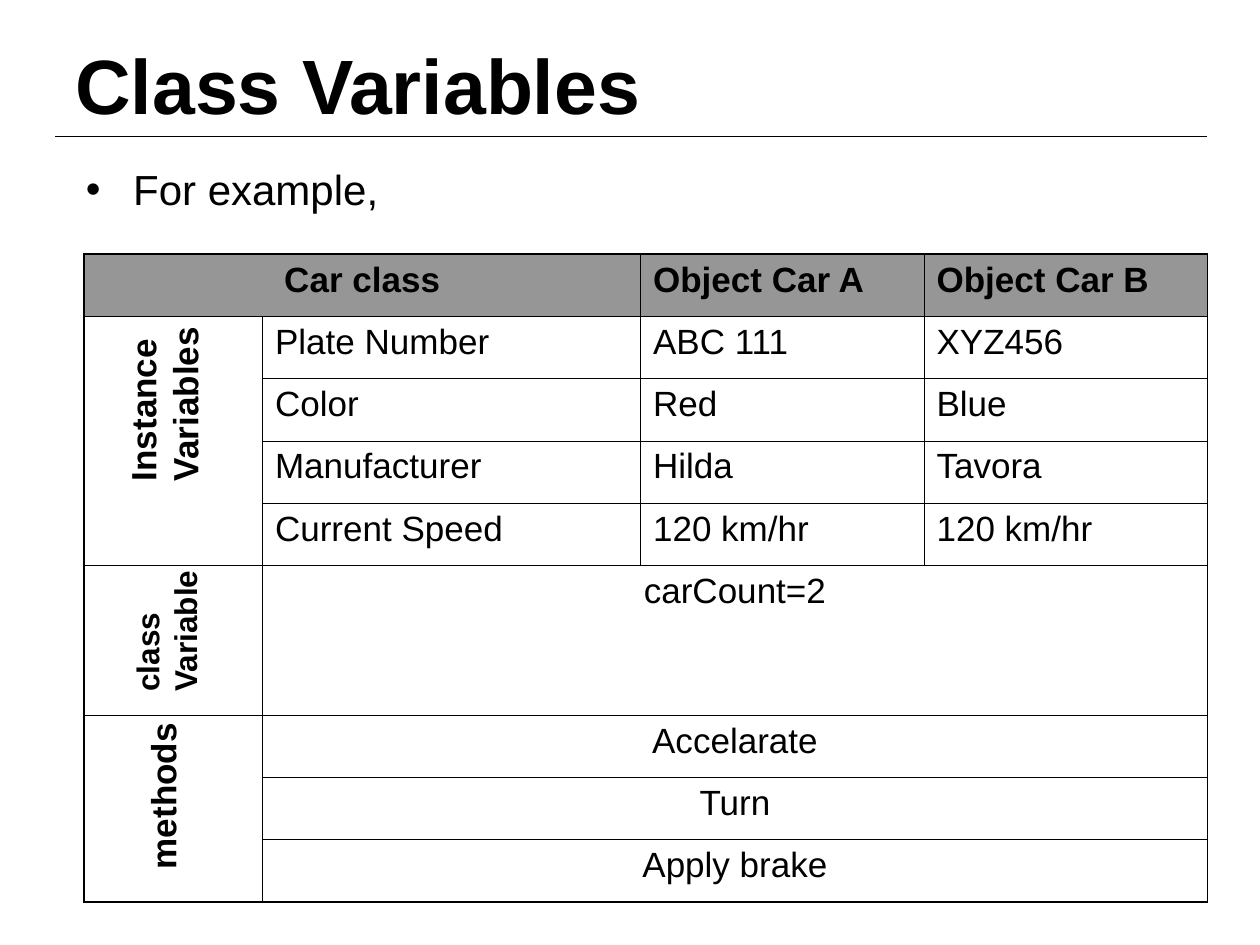
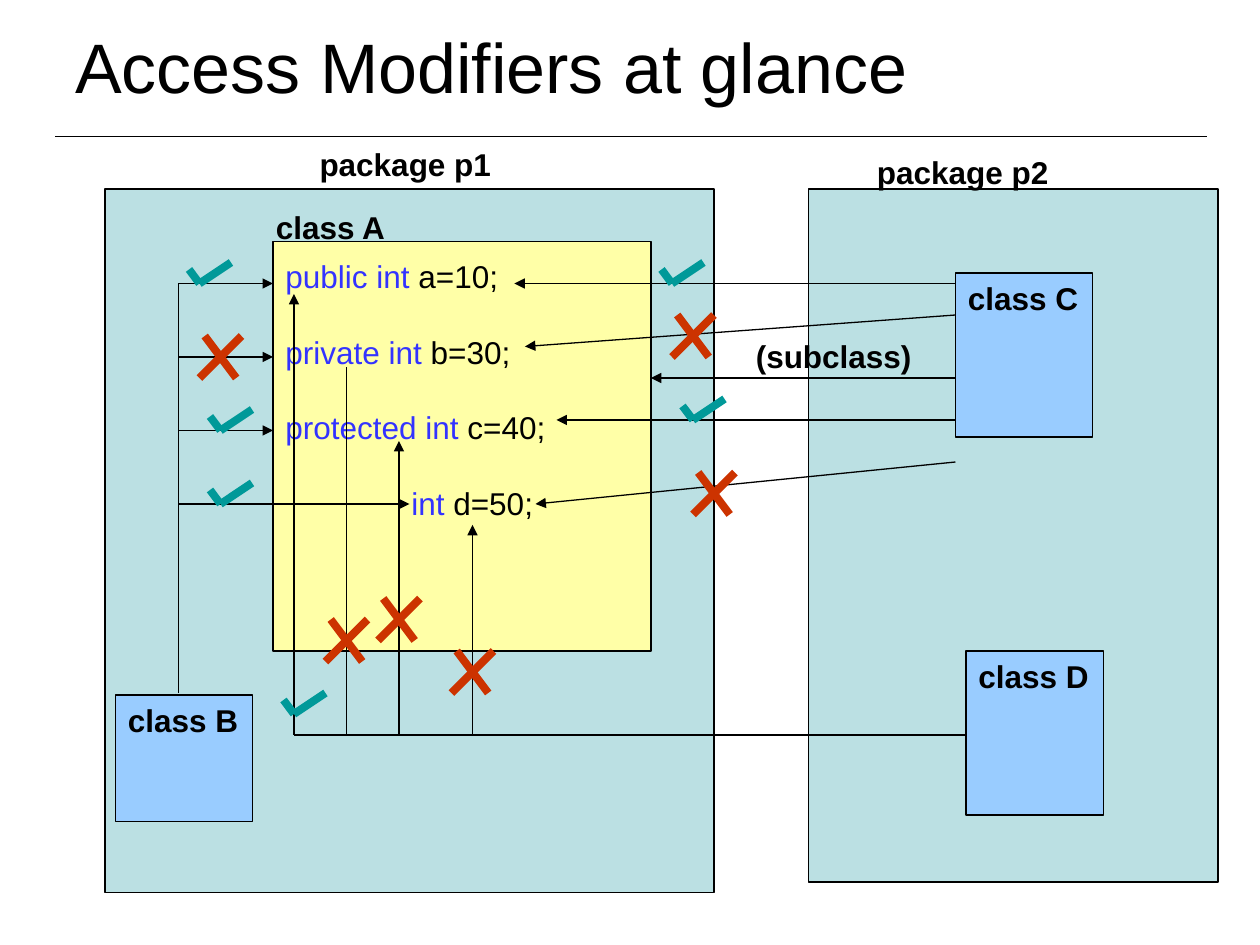
from lxml.etree import SubElement
from pptx import Presentation
from pptx.dml.color import RGBColor
from pptx.enum.shapes import MSO_CONNECTOR, MSO_SHAPE
from pptx.enum.text import MSO_ANCHOR, PP_ALIGN
from pptx.oxml import parse_xml
from pptx.oxml.ns import nsdecls, qn
from pptx.util import Pt

FONT = "Arial"
BLACK = RGBColor(0x00, 0x00, 0x00)
HEADER_GRAY = RGBColor(0x96, 0x96, 0x96)
PACKAGE_TEAL = RGBColor(0xBB, 0xE0, 0xE3)
CLASS_YELLOW = RGBColor(0xFF, 0xFF, 0xA7)
CLASS_BLUE = RGBColor(0x99, 0xCC, 0xFF)
KEYWORD_BLUE = RGBColor(0x33, 0x33, 0xFF)
TICK_GREEN = RGBColor(0x00, 0x99, 0x99)
CROSS_RED = RGBColor(0xCC, 0x33, 0x00)


def write(text_frame, text, size, bold=False, align=PP_ALIGN.LEFT):
    """Fill the frame with one paragraph of black text."""
    text_frame.text = text
    paragraph = text_frame.paragraphs[0]
    paragraph.alignment = align
    font = paragraph.runs[0].font
    font.name, font.size, font.bold = FONT, Pt(size), bold
    font.color.rgb = BLACK


def add_line(slide, start, end, color=BLACK, width=0.75, arrow=False):
    connector = slide.shapes.add_connector(
        MSO_CONNECTOR.STRAIGHT, Pt(start[0]), Pt(start[1]), Pt(end[0]), Pt(end[1]))
    connector.line.color.rgb = color
    connector.line.width = Pt(width)
    properties = connector._element.spPr
    if arrow:
        SubElement(properties.find(qn("a:ln")), qn("a:tailEnd"), type="triangle")
    SubElement(properties, qn("a:effectLst"))


presentation = Presentation()
presentation.slide_width, presentation.slide_height = Pt(720), Pt(540)

# Title and rule on both slides
slides = []
for title, top, height, size, bold in [
    ("Class Variables", 27, 42, 44, True),
    ("Access Modifiers at glance", 21.5, 32, 40, False),
]:
    slide = presentation.slides.add_slide(presentation.slide_layouts[6])
    add_line(slide, (31.5, 78), (690, 78))
    box = slide.shapes.add_textbox(Pt(36), Pt(top), Pt(648), Pt(height))
    box.text_frame.word_wrap = True
    box.text_frame.vertical_anchor = MSO_ANCHOR.MIDDLE
    write(box.text_frame, title, size, bold)
    slides.append(slide)
variables_slide, access_slide = slides

# Slide 1: bullet
box = variables_slide.shapes.add_textbox(Pt(42), Pt(90), Pt(648), Pt(42))
box.text_frame.word_wrap = True
write(box.text_frame, "For example,", 24)
bullet_properties = box.text_frame.paragraphs[0]._p.get_or_add_pPr()
bullet_properties.set("marL", str(Pt(27)))
bullet_properties.set("indent", str(Pt(-27)))
SubElement(bullet_properties, qn("a:buFont"), typeface=FONT)
SubElement(bullet_properties, qn("a:buChar"), char="•")

# Slide 1: table of the car class and its objects
ROWS = [
    ["Car class", "", "Object Car A", "Object Car B"],
    ["", "Plate Number", "ABC 111", "XYZ456"],
    ["", "Color", "Red", "Blue"],
    ["", "Manufacturer", "Hilda", "Tavora"],
    ["", "Current Speed", "120 km/hr", "120 km/hr"],
    ["", "carCount=2", "", ""],
    ["", "Accelarate", "", ""],
    ["", "Turn", "", ""],
    ["", "Apply brake", "", ""],
]
COLUMN_WIDTHS = [102, 216, 162, 162]
ROW_HEIGHTS = [35.55] * 5 + [85.7] + [35.55] * 3
MERGES = [((0, 0), (0, 1)), ((1, 0), (4, 0)), ((6, 0), (8, 0))]
MERGES += [((row, 1), (row, 3)) for row in range(5, 9)]

table = variables_slide.shapes.add_table(
    len(ROWS), len(COLUMN_WIDTHS), Pt(48), Pt(145.3),
    Pt(sum(COLUMN_WIDTHS)), Pt(sum(ROW_HEIGHTS))).table
table.first_row = table.horz_banding = False
for column, width in zip(table.columns, COLUMN_WIDTHS):
    column.width = Pt(width)
for row, height in zip(table.rows, ROW_HEIGHTS):
    row.height = Pt(height)
for first, last in MERGES:
    table.cell(*first).merge(table.cell(*last))

for r, texts in enumerate(ROWS):
    for c, text in enumerate(texts):
        cell = table.cell(r, c)
        if r == 0:
            cell.fill.solid()
            cell.fill.fore_color.rgb = HEADER_GRAY
        else:
            cell.fill.background()
        if text:
            align = PP_ALIGN.CENTER if cell.span_width > 1 else PP_ALIGN.LEFT
            write(cell.text_frame, text, 20, r == 0, align)
        outer = {
            "L": c == 0,
            "R": c + cell.span_width == len(COLUMN_WIDTHS),
            "T": r == 0,
            "B": r + cell.span_height == len(ROWS),
        }
        for position, (side, is_outer) in enumerate(outer.items()):
            border = parse_xml(
                f'<a:ln{side} {nsdecls("a")} w="{Pt(1.08 if is_outer else 0.45)}">'
                f'<a:solidFill><a:srgbClr val="{BLACK}"/></a:solidFill></a:ln{side}>')
            cell._tc.get_or_add_tcPr().insert(position, border)

# Slide 1: row group labels, turned to read upwards
for text, left, top, width, height, size in [
    ("methods", 42, 437, 102, 31.5, 20),
    ("Instance Variables", 36.6, 197.3, 114, 55.5, 20),
    ("class Variable", 49.7, 332, 90, 50.4, 18),
]:
    box = variables_slide.shapes.add_textbox(Pt(left), Pt(top), Pt(width), Pt(height))
    box.rotation = 270
    box.text_frame.word_wrap = True
    write(box.text_frame, text, size, True)

# Slide 2: packages and classes
boxes = {}
for name, left, top, width, height, color in [
    ("package p1", 60, 108, 348, 402, PACKAGE_TEAL),
    ("package p2", 462, 108, 234, 396, PACKAGE_TEAL),
    ("class A", 156, 138, 216, 234, CLASS_YELLOW),
    ("class B", 66, 397.2, 78.5, 72.3, CLASS_BLUE),
    ("class C", 546, 156, 78.5, 93.7, CLASS_BLUE),
    ("class D", 552, 372, 78.5, 93.7, CLASS_BLUE),
]:
    shape = access_slide.shapes.add_shape(
        MSO_SHAPE.RECTANGLE, Pt(left), Pt(top), Pt(width), Pt(height))
    shape.shadow.inherit = False
    shape.fill.solid()
    shape.fill.fore_color.rgb = color
    shape.line.color.rgb = BLACK
    shape.line.width = Pt(0.75)
    shape.text_frame.vertical_anchor = MSO_ANCHOR.TOP
    if color == CLASS_BLUE:
        shape.text_frame.word_wrap = False
        write(shape.text_frame, name, 18, True)
    boxes[name] = shape

# Slide 2: fields of class A
field_frame = boxes["class A"].text_frame
field_frame.word_wrap = True
field_frame.margin_top = Pt(9)
for i, (keywords, rest) in enumerate([
    ("public int", " a=10;"),
    ("private int", " b=30;"),
    ("protected int", " c=40;"),
    ("int", " d=50;"),
]):
    paragraph = field_frame.paragraphs[0] if i == 0 else field_frame.add_paragraph()
    paragraph.alignment = PP_ALIGN.LEFT
    if i:
        paragraph.space_before = Pt(21.6)
    if keywords == "int":
        paragraph._p.get_or_add_pPr().set("marL", str(Pt(72)))
    for text, color in [(keywords, KEYWORD_BLUE), (rest, BLACK)]:
        run = paragraph.add_run()
        run.text = text
        run.font.name, run.font.size = FONT, Pt(18)
        run.font.color.rgb = color

# Slide 2: access from class B
add_line(access_slide, (102, 396), (102, 162))
for y, end_x in [(162, 156), (204, 156), (246, 156), (288, 234)]:
    add_line(access_slide, (102, y), (end_x, y), arrow=True)

# Slide 2: access from class C
for start_y, end in [(162, (294, 162)), (180, (300, 198)), (216, (372, 216)),
                     (240, (318, 240)), (264, (306, 288))]:
    add_line(access_slide, (546, start_y), end, arrow=True)

# Slide 2: access from class D
add_line(access_slide, (552, 420), (168, 420))
for x, end_y, arrow in [(168, 168, True), (198, 210, False),
                        (228, 252, True), (270, 300, True)]:
    add_line(access_slide, (x, 420), (x, end_y), arrow=arrow)

# Slide 2: ticks and crosses, as strokes around an anchor point
TICK_STROKES = [((-6, -8), (0, 0)), ((0, 0), (18, -12))]
CROSS_STROKES = [((-9, -12), (9, 12)), ((12, -12), (-12, 12))]
TICKS = [(114, 162), (126, 246), (126, 288), (384, 162), (396, 240), (168, 408)]
CROSSES = [(126, 204), (396, 192), (408, 282), (270, 384), (228, 354), (198, 366)]
for anchors, strokes, color in [(TICKS, TICK_STROKES, TICK_GREEN),
                                (CROSSES, CROSS_STROKES, CROSS_RED)]:
    for x, y in anchors:
        for (x1, y1), (x2, y2) in strokes:
            add_line(access_slide, (x + x1, y + y1), (x + x2, y + y2), color, 4.5)

# Slide 2: free labels, with some room to the right of the text
for text, left, top, width in [
    ("class A", 150.5, 115.2, 84),
    ("(subclass)", 424.8, 188.8, 112),
    ("package p1", 175.5, 79.2, 120),
    ("package p2", 494, 84, 120),
]:
    box = access_slide.shapes.add_textbox(Pt(left), Pt(top), Pt(width), Pt(28.8))
    box.text_frame.word_wrap = True
    write(box.text_frame, text, 18, True)

presentation.save("out.pptx")
